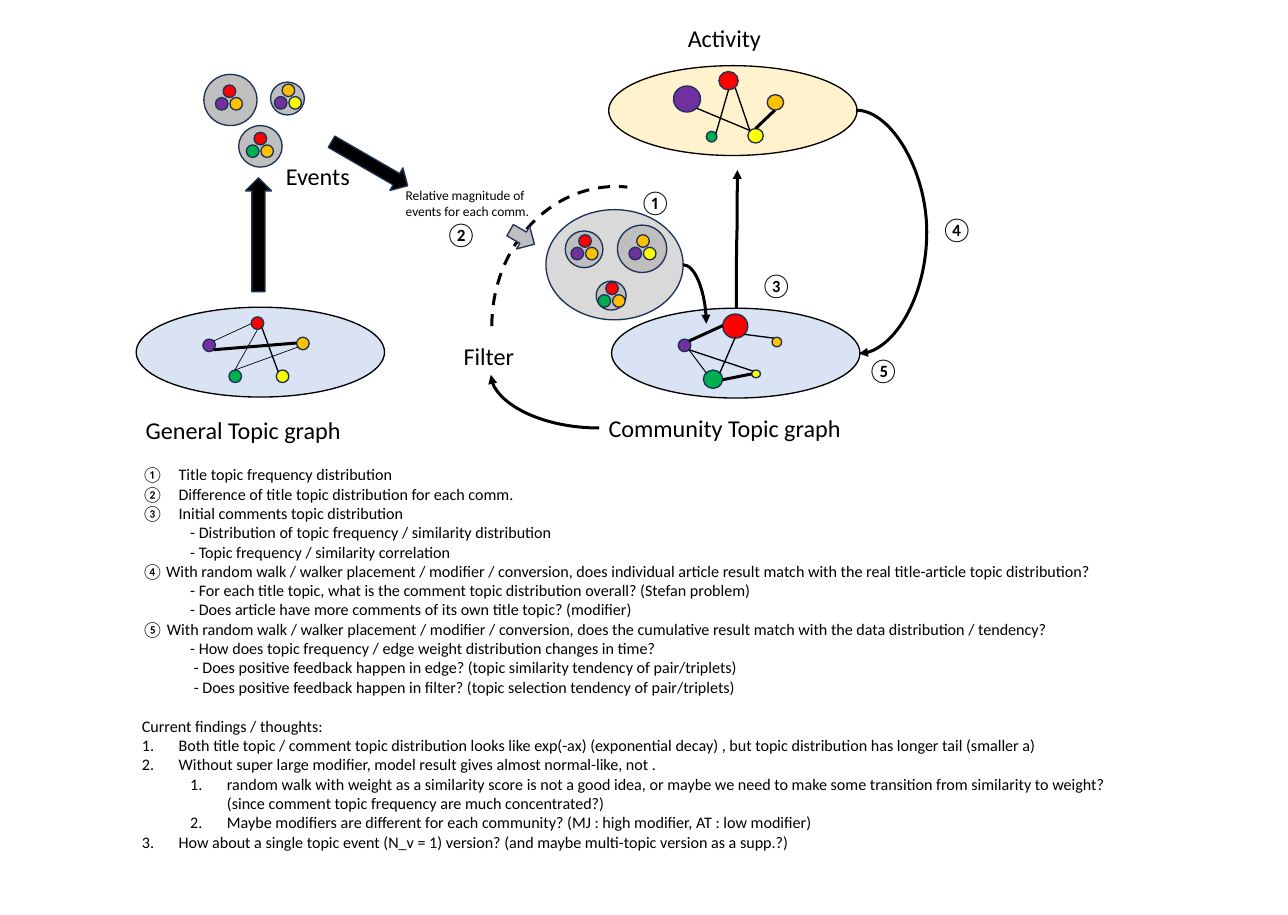
import pptx
import pptx.util
import pptx.dml.color
import pptx.enum.dml
import pptx.enum.shapes
import pptx.oxml.ns
import lxml.etree

SHAPE = pptx.enum.shapes.MSO_SHAPE
LINK = pptx.enum.shapes.MSO_CONNECTOR
BLACK, NAVY, GREY = "000000", "1E3256", "BFBFBF"
RED, GOLD, LEMON = "FF0000", "FFC000", "FFFF00"
GREEN, PLUM, SKY = "00B050", "7030A0", "DAE3F3"


def px(count):
    """Turn px into EMU, at 100 px to the inch."""
    return pptx.util.Emu(count * 9144)


def paint(code):
    return pptx.dml.color.RGBColor.from_string(code)


def child(node, tag, **attrs):
    """Append an element of the a: namespace."""
    return lxml.etree.SubElement(node, pptx.oxml.ns.qn("a:" + tag), attrs)


class Board:
    def __init__(self, slide, font):
        self.items = slide.shapes
        self.font = font

    def shape(self, kind, box, fill, edge=NAVY, turn=0, width=1):
        form = self.items.add_shape(kind, *map(px, box))
        form.shadow.inherit = False
        form.rotation = turn
        if fill:
            form.fill.solid()
            form.fill.fore_color.rgb = paint(fill)
        else:
            form.fill.background()
        form.line.color.rgb = paint(edge)
        form.line.width = pptx.util.Pt(width)
        return form

    def oval(self, box, fill, edge=NAVY):
        return self.shape(SHAPE.OVAL, box, fill, edge)

    def trio(self, halo, left, top, hues):
        """A grey circle with two topics at left, top and a third above."""
        self.oval(halo, GREY)
        for (right, down), hue in zip([(0, 0), (15, 0), (8, -13)], hues):
            self.oval((left + right, top + down, 13, 13), hue)

    def line(self, ends, width, kind=LINK.STRAIGHT):
        wire = self.items.add_connector(kind, *map(px, ends))
        wire.line.color.rgb = paint(BLACK)
        wire.line.width = pptx.util.Pt(width)
        child(wire._element.spPr, "effectLst")
        return wire

    def curve(self, ends, preset, bend=None, turn=0):
        """A curved arrow; bend is its middle, as a share of its width."""
        wire = self.line(ends, 2.25, LINK.CURVE)
        props = wire._element.spPr
        props.find(pptx.oxml.ns.qn("a:xfrm")).set("rot", str(turn * 60000))
        geom = props.find(pptx.oxml.ns.qn("a:prstGeom"))
        geom.set("prst", preset)
        if bend is not None:
            child(geom.find(pptx.oxml.ns.qn("a:avLst")), "gd",
                  name="adj1", fmla=f"val {round(bend * 100000)}")
        child(props.find(pptx.oxml.ns.qn("a:ln")), "tailEnd", type="triangle")

    def style(self, para, size):
        for run in para.runs:
            run.font.name = self.font
            run.font.size = pptx.util.Pt(size)
            run.font.color.rgb = paint(BLACK)

    def text(self, box, words, size=18):
        frame = self.items.add_textbox(*map(px, box)).text_frame
        frame.word_wrap = True
        frame.text = words
        self.style(frame.paragraphs[0], size)

    def notes(self, box, rows, size=12):
        """Rows of level, margin, indent, number scheme, start and words."""
        frame = self.items.add_textbox(*map(px, box)).text_frame
        frame.word_wrap = True
        for spot, (level, margin, indent, scheme, start, words) in enumerate(rows):
            para = frame.paragraphs[0] if spot == 0 else frame.add_paragraph()
            para.text = words
            para.level = level
            props = para._p.get_or_add_pPr()
            props.set("marL", str(px(margin)))
            props.set("indent", str(px(indent)))
            if scheme:
                mark = child(props, "buAutoNum", type=scheme)
                if start > 1:
                    mark.set("startAt", str(start))
            else:
                child(props, "buNone")
            if words.startswith("Current"):
                para.space_before = pptx.util.Pt(14.65)
            self.style(para, size)


CIRCLE = (0, 38, -38, "circleNumDbPlain", 1)
FOURTH = (0, 25, -25, "circleNumDbPlain", 4)
PLAIN = (0, 0, 0, None, 1)
DASH = (1, 50, 0, None, 1)
COUNT = (0, 38, -38, "arabicPeriod", 1)
INNER = (1, 88, -38, "arabicPeriod", 1)
NOTES = [
    (*CIRCLE, "Title topic frequency distribution"),
    (*CIRCLE, "Difference of title topic distribution for each comm."),
    (*CIRCLE, "Initial comments topic distribution"),
    (*DASH, "- Distribution of topic frequency / similarity distribution"),
    (*DASH, "- Topic frequency / similarity correlation"),
    (*FOURTH, "With random walk / walker placement / modifier / conversion, does individual "
     "article result match with the real title-article topic distribution?"),
    (*DASH, "- For each title topic, what is the comment topic distribution overall? (Stefan problem)"),
    (*DASH, "- Does article have more comments of its own title topic? (modifier)"),
    (*PLAIN, "⑤ With random walk / walker placement / modifier / conversion, does the cumulative "
     "result match with the data distribution / tendency?"),
    (*DASH, "- How does topic frequency / edge weight distribution changes in time?"),
    (*DASH, " - Does positive feedback happen in edge? (topic similarity tendency of pair/triplets)"),
    (*DASH, " - Does positive feedback happen in filter? (topic selection tendency of pair/triplets)"),
    (*PLAIN, "Current findings / thoughts:"),
    (*COUNT, "Both title topic / comment topic distribution looks like exp(-ax) (exponential decay) , "
     "but topic distribution has longer tail (smaller a)"),
    (*COUNT, "Without super large modifier, model result gives almost normal-like, not ."),
    (*INNER, "random walk with weight as a similarity score is not a good idea, or maybe we need to make "
     "some transition from similarity to weight? (since comment topic frequency are much concentrated?)"),
    (*INNER, "Maybe modifiers are different for each community? (MJ : high modifier, AT : low modifier)"),
    (*COUNT, "How about a single topic event (N_v = 1) version? (and maybe multi-topic version as a supp.?)"),
]
LABELS = [
    ((141, 425, 291, 40), "General Topic graph"),
    ((620, 423, 291, 40), "Community Topic graph"),
    ((470, 348, 77, 40), "Filter"),
    ((286, 162, 112, 40), "Events"),
    ((702, 19, 103, 41), "Activity"),
    ((652, 189, 37, 40), "①"),
    ((451, 222, 74, 40), "②"),
    ((777, 275, 44, 40), "③"),
    ((964, 217, 44, 40), "④"),
    ((888, 363, 44, 40), "⑤"),
]
TRIOS = [
    ((211, 77, 55, 53), 223, 101, (PLUM, GOLD, RED)),
    ((280, 85, 35, 34), 284, 100, (PLUM, LEMON, GOLD)),
    ((247, 130, 45, 43), 255, 150, (GREEN, GOLD, RED)),
    ((585, 239, 39, 38), 591, 256, (PLUM, GOLD, RED)),
    ((639, 233, 51, 49), 651, 256, (PLUM, LEMON, GOLD)),
    ((617, 291, 31, 30), 619, 305, (GREEN, GOLD, RED)),
]
# Each graph: place, fill, topics (plum, green, lemon, gold, red), edges with widths
GRAPHS = [
    ((141, 318), SKY,
     [(210, 351, 13, 13), (237, 383, 13, 13), (286, 383, 13, 13), (307, 349, 13, 13), (260, 328, 13, 13)],
     [((260, 335, 221, 353), 0.5), ((307, 355, 221, 362), 2.25), ((288, 385, 271, 339), 1),
      ((309, 359, 243, 383), 0.5), ((243, 383, 266, 342), 0.5)]),
    ((633, 319), SKY,
     [(702, 351, 13, 13), (728, 383, 20, 19), (778, 383, 9, 8), (799, 349, 10, 10), (748, 325, 26, 25)],
     [((748, 337, 713, 353), 2.25), ((779, 384, 713, 362), 1), ((778, 387, 748, 393), 2.25),
      ((761, 349, 745, 386), 1), ((801, 350, 770, 346), 1), ((731, 386, 713, 362), 0.75)]),
    ((630, 68), "FFF2CC",
     [(697, 89, 28, 27), (731, 136, 11, 11), (774, 133, 16, 15), (794, 98, 17, 16), (744, 74, 20, 19)],
     [((802, 114, 782, 133), 2.25), ((741, 138, 754, 93), 1), ((776, 135, 721, 112), 1),
      ((776, 135, 761, 91), 1)]),
]


def main():
    deck = pptx.Presentation()
    deck.slide_width, deck.slide_height = px(1333), px(947)
    board = Board(deck.slides.add_slide(deck.slide_layouts[6]), "Calibri")

    board.oval((565, 217, 142, 114), "D9D9D9")
    for place, fill, topics, edges in GRAPHS:
        board.oval((*place, 257, 93), fill, BLACK)
        for box, hue in zip(topics, (PLUM, GREEN, LEMON, GOLD, RED)):
            board.oval(box, hue)
        for ends, width in edges:
            board.line(ends, width)

    arc = board.shape(SHAPE.ARC, (493, 209, 289, 257), None, BLACK, 270, 2.25)
    arc.adjustments[0], arc.adjustments[1] = 162, 2.82
    arc.line.dash_style = pptx.enum.dml.MSO_LINE.DASH

    for trio in TRIOS:
        board.trio(*trio)
    for box, fill, turn in [((254, 184, 27, 118), BLACK, 0),
                            ((369, 124, 27, 91), BLACK, 120),
                            ((527, 231, 27, 29), GREY, 120)]:
        board.shape(SHAPE.UP_ARROW, box, fill, turn=turn)

    board.curve((620, 443, 508, 388), "curvedConnector2")
    board.curve((707, 274, 731, 335), "curvedConnector2")
    board.curve((834, 248, 691, 247), "curvedConnector3", 0.5, 90)
    board.curve((886, 114, 889, 366), "curvedConnector3", 24.47)

    for box, words in LABELS:
        board.text(box, words)
    board.text((410, 189, 151, 44), "Relative magnitude of events for each comm.", 10)
    board.notes((137, 476, 1042, 414), NOTES)
    deck.save("out.pptx")


if __name__ == "__main__":
    main()
